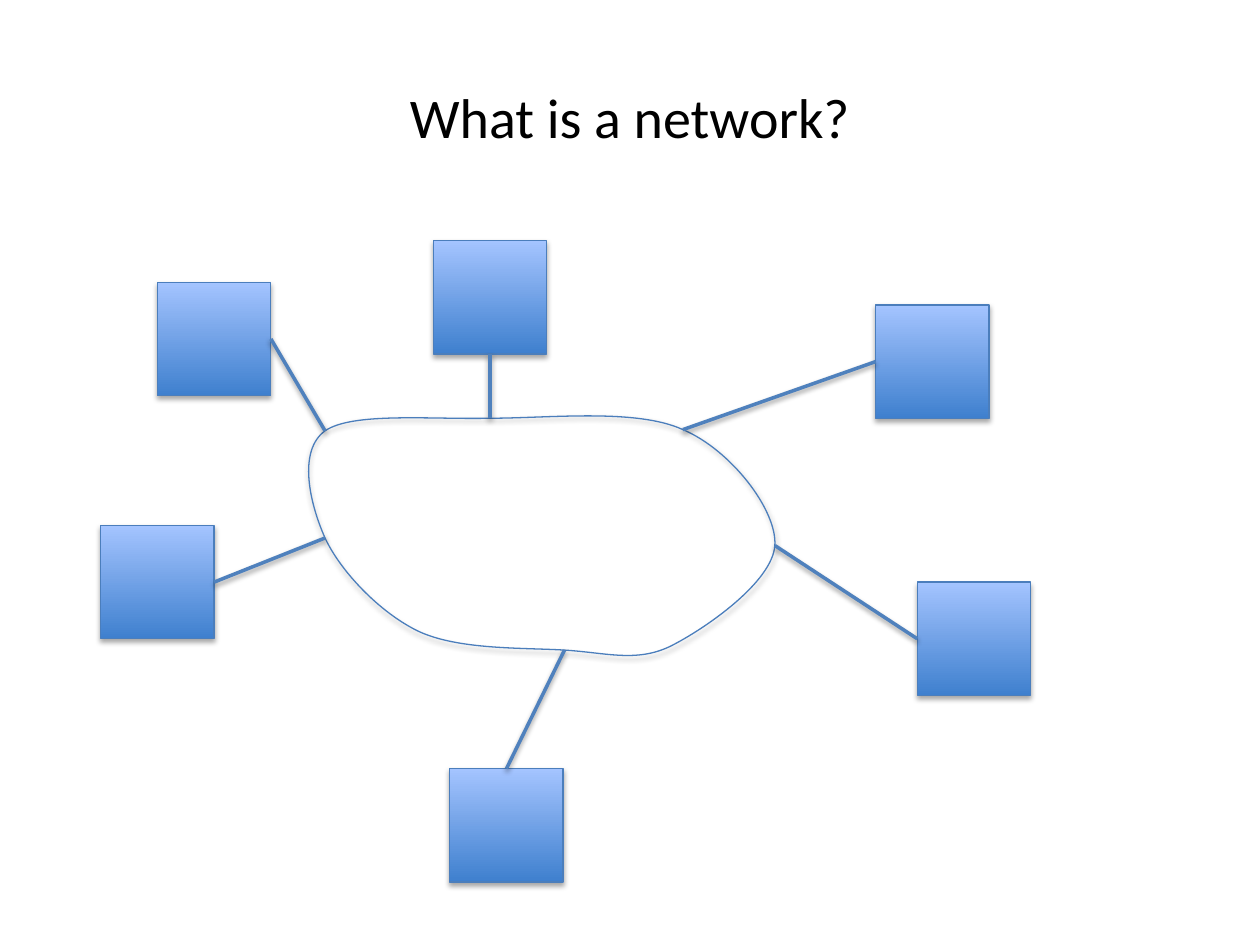
from lxml.etree import SubElement
from pptx import Presentation
from pptx.dml.color import RGBColor
from pptx.enum.shapes import MSO_CONNECTOR, MSO_SHAPE
from pptx.enum.text import MSO_ANCHOR, PP_ALIGN
from pptx.oxml.ns import qn
from pptx.util import Inches, Pt

TOP, LEFT, BOTTOM, RIGHT = range(4)
BOX_SIZE = 0.9
UNITS = 1000

COMPUTERS = [
    (1.25, 2.24, RIGHT, (2.58, 3.42)),
    (0.8, 4.17, RIGHT, (2.58, 4.27)),
    (3.57, 6.1, TOP, (4.48, 5.16)),
    (3.44, 1.91, BOTTOM, (3.89, 3.32)),
    (6.95, 2.42, LEFT, (5.42, 3.41)),
    (7.28, 4.62, LEFT, (6.15, 4.33)),
]
CLOUD_FRAME = (2.45, 3.3, 3.7, 1.9)
CLOUD_START = (3.89, 3.32)
CLOUD_CURVES = [
    [(3.41, 3.33), (2.8, 3.27), (2.58, 3.42)],
    [(2.36, 3.58), (2.46, 4), (2.58, 4.27)],
    [(2.7, 4.53), (3.01, 4.86), (3.32, 5.01)],
    [(3.64, 5.16), (4.15, 5.14), (4.48, 5.16)],
    [(4.81, 5.18), (5.05, 5.26), (5.32, 5.13)],
    [(5.6, 4.99), (6.13, 4.62), (6.15, 4.33)],
    [(6.17, 4.05), (5.8, 3.57), (5.42, 3.41)],
    [(5.05, 3.24), (4.36, 3.32), (3.89, 3.32)],
]


def color(value):
    return RGBColor.from_string(value)


def write_text(shape, text, font="Calibri", size=32, fill="000000", align=PP_ALIGN.CENTER):
    para = shape.text_frame.paragraphs[0]
    para.alignment = align
    span = para.add_run()
    span.text = text
    span.font.name = font
    span.font.size = Pt(size)
    span.font.color.rgb = color(fill)


def add_shadow(shape, opacity, distance, blur=3.1):
    effects = SubElement(shape._element.spPr, qn("a:effectLst"))
    shadow = SubElement(effects, qn("a:outerShdw"), blurRad=str(Pt(blur)),
                        dist=str(Pt(distance)), dir="5400000", rotWithShape="0")
    black = SubElement(shadow, qn("a:srgbClr"), val="000000")
    SubElement(black, qn("a:alpha"), val=str(opacity * 1000))


class NetworkSlide:
    outline = "4B7EBC"
    link = "4F81BD"
    gradient = ("3F80CE", "A4C4FF")

    def __init__(self, deck):
        self.page = deck.slides.add_slide(deck.slide_layouts[5])

    def title(self, text, left, top, width, height):
        box = self.page.shapes.title
        box.left, box.top, box.width, box.height = map(Inches, (left, top, width, height))
        box.text_frame.vertical_anchor = MSO_ANCHOR.MIDDLE
        write_text(box, text)

    def finish(self, shape):
        shape.line.color.rgb = color(self.outline)
        shape.line.width = Pt(0.75)
        add_shadow(shape, opacity=35, distance=1.8)

    def computer(self, left, top):
        box = self.page.shapes.add_shape(
            MSO_SHAPE.RECTANGLE, *map(Inches, (left, top, BOX_SIZE, BOX_SIZE)))
        box.fill.gradient()
        box.fill.gradient_angle = 90
        for stop, value in zip(box.fill.gradient_stops, self.gradient):
            stop.color.rgb = color(value)
        self.finish(box)
        return box

    def cloud(self, frame, start, curves):
        left, top, width, height = (round(length * UNITS) for length in frame)
        builder = self.page.shapes.build_freeform(left, top, scale=Inches(1) / UNITS)
        builder.add_line_segments([(left + width, top), (left + width, top + height),
                                   (left, top + height)], close=True)
        cloud = builder.convert_to_shape()
        outline = next(cloud._element.iter(qn("a:path")))
        for step in list(outline):
            outline.remove(step)

        def add_step(tag, points):
            step = SubElement(outline, qn(tag))
            for x, y in points:
                SubElement(step, qn("a:pt"), x=str(round(x * UNITS) - left),
                           y=str(round(y * UNITS) - top))

        add_step("a:moveTo", [start])
        for points in curves:
            add_step("a:cubicBezTo", points)
        add_step("a:close", [])
        cloud.fill.background()
        self.finish(cloud)

    def connection(self, box, site, end):
        x, y = map(Inches, end)
        line = self.page.shapes.add_connector(MSO_CONNECTOR.STRAIGHT, x, y, x, y)
        line.begin_connect(box, site)
        line.line.color.rgb = color(self.link)
        line.line.width = Pt(2)
        add_shadow(line, opacity=38, distance=1.6)


def main():
    deck = Presentation()
    deck.slide_width, deck.slide_height = Inches(10), Inches(7.5)
    slide = NetworkSlide(deck)
    slide.title("What is a network?", 0.5, 0.3, 9, 1.25)
    boxes = [slide.computer(left, top) for left, top, _, _ in COMPUTERS]
    slide.cloud(CLOUD_FRAME, CLOUD_START, CLOUD_CURVES)
    for box, (_, _, site, end) in zip(boxes, COMPUTERS):
        slide.connection(box, site, end)
    deck.save("out.pptx")


if __name__ == "__main__":
    main()
